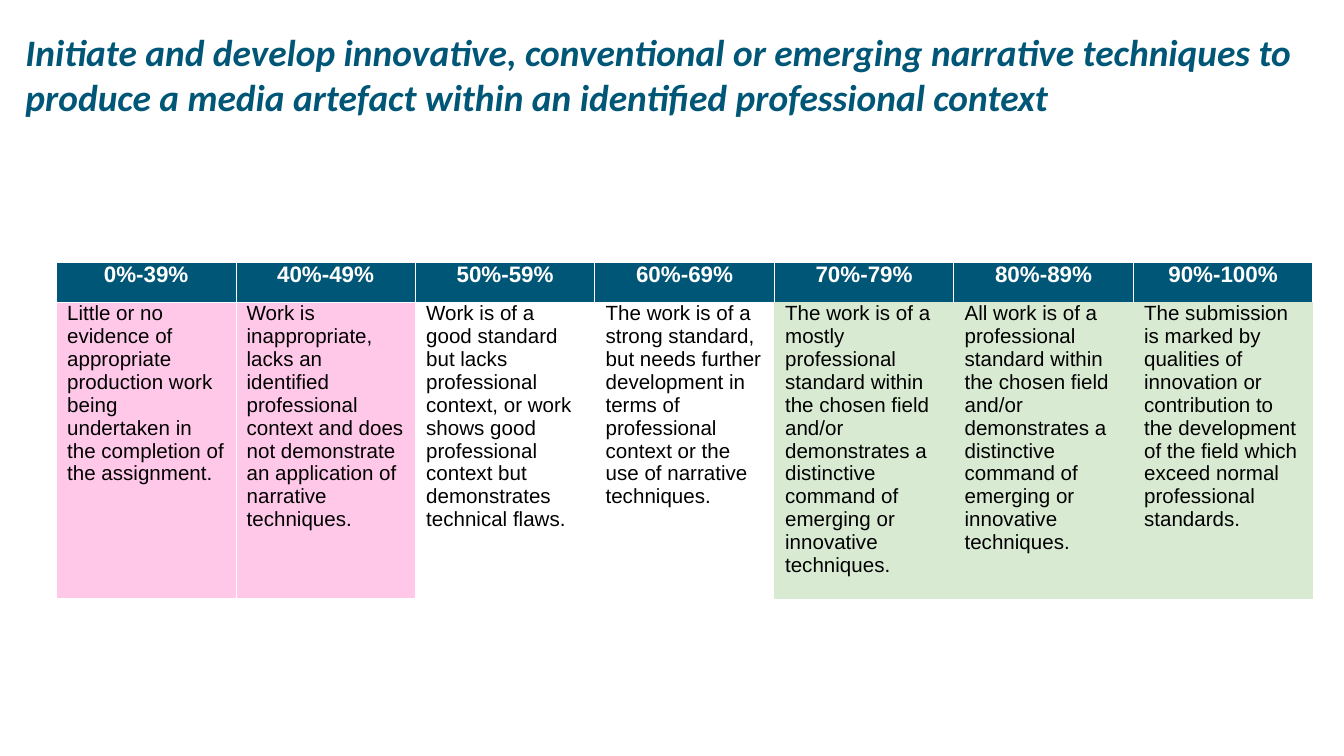
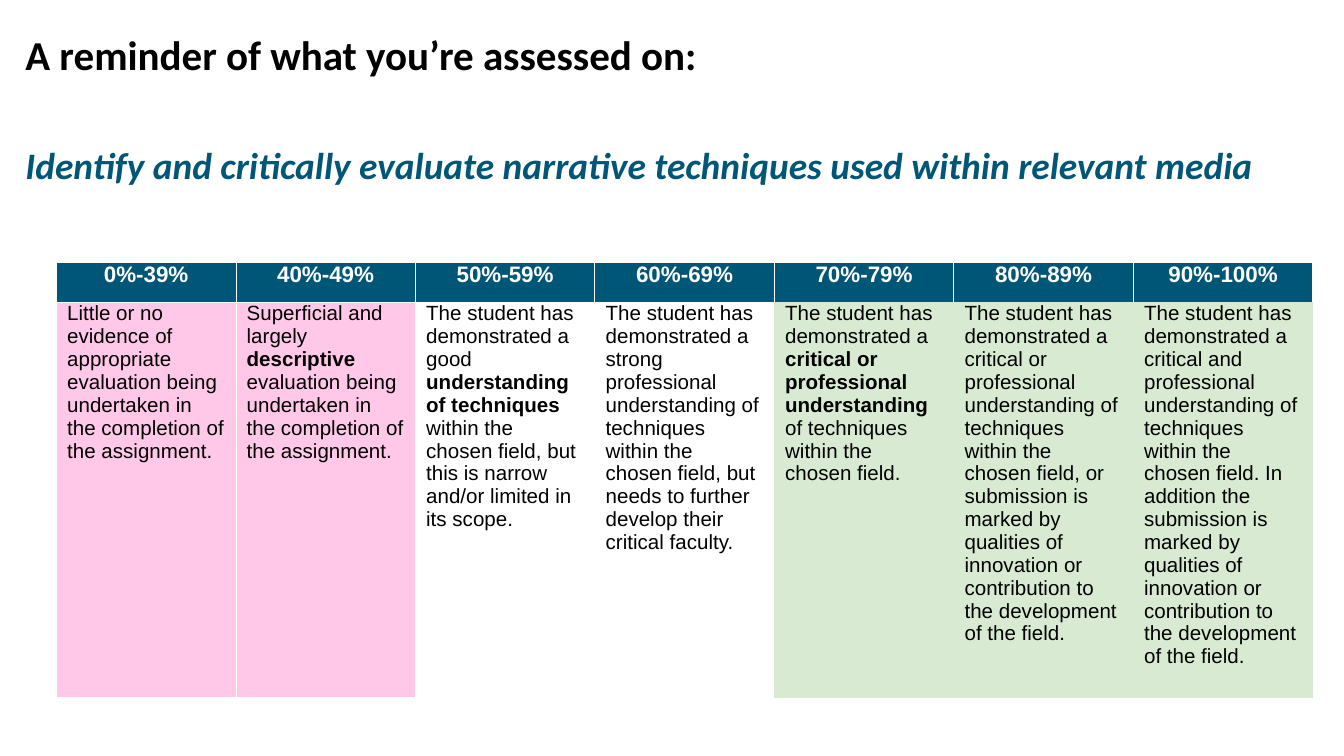
import lxml.etree
import pptx
import pptx.dml.color
import pptx.enum.text
import pptx.oxml.ns
import pptx.util

Inches = pptx.util.Inches
Pt = pptx.util.Pt
RGBColor = pptx.dml.color.RGBColor

HEADER_BLUE = RGBColor(0x00, 0x56, 0x76)
TITLE_BLUE = RGBColor(0x00, 0x56, 0x77)
PINK = RGBColor(0xFF, 0xC8, 0xE8)
GREEN = RGBColor(0xD9, 0xEA, 0xD3)
WHITE = RGBColor(0xFF, 0xFF, 0xFF)
BLACK = RGBColor(0x00, 0x00, 0x00)

PAGE_WIDTH = 10
PAGE_HEIGHT = PAGE_WIDTH * 9 / 16

BANDS = ["0%-39%", "40%-49%", "50%-59%", "60%-69%", "70%-79%", "80%-89%", "90%-100%"]
BAND_FILLS = [PINK] * 2 + [WHITE] * 2 + [GREEN] * 3
TABLE_WIDTH = 9.35
ROW_HEIGHT = 0.3

PRODUCTION_CRITERIA = [
    "Little or no evidence of appropriate production work being undertaken in the "
    "completion of the assignment.",
    "Work is inappropriate, lacks an identified professional context and does not "
    "demonstrate an application of narrative techniques.",
    "Work is of a good standard but lacks professional context, or work shows good "
    "professional context but demonstrates technical flaws.",
    "The work is of a strong standard, but needs further development in terms of "
    "professional context or the use of narrative techniques.",
    "The work is of a mostly professional standard within the chosen field and/or "
    "demonstrates a distinctive command of emerging or innovative techniques.",
    "All work is of a professional standard within the chosen field and/or "
    "demonstrates a distinctive command of emerging or innovative techniques.",
    "The submission is marked by qualities of innovation or contribution to the "
    "development of the field which exceed normal professional standards.",
]
EVALUATION_CRITERIA = [
    "Little or no evidence of appropriate evaluation being undertaken in the "
    "completion of the assignment.",
    "Superficial and largely **descriptive** evaluation being undertaken in the "
    "completion of the assignment.",
    "The student has demonstrated a good **understanding of techniques** within the "
    "chosen field, but this is narrow and/or limited in its scope.",
    "The student has demonstrated a strong professional understanding of techniques "
    "within the chosen field, but needs to further develop their critical faculty.",
    "The student has demonstrated a **critical or professional understanding** of "
    "techniques within the chosen field.",
    "The student has demonstrated a critical or professional understanding of "
    "techniques within the chosen field, or submission is marked by qualities of "
    "innovation or contribution to the development of the field.",
    "The student has demonstrated a critical and professional understanding of "
    "techniques within the chosen field. In addition the submission is marked by "
    "qualities of innovation or contribution to the development of the field.",
]


def write(para, text, font="Arial", size=11, color=BLACK, bold=False, italic=False,
          align=None, before=6, after=6):
    """Fill a paragraph with text, where **marked** parts are bold."""
    para.alignment = align
    para.space_before = Pt(before)
    para.space_after = Pt(after)
    for index, part in enumerate(text.split("**")):
        span = para.add_run()
        span.text = part
        span.font.name = font
        span.font.size = Pt(size)
        span.font.color.rgb = color
        span.font.bold = bold or index % 2 == 1
        span.font.italic = italic


class RubricDeck:
    """Holds the deck style and the current page."""

    def __init__(self):
        self.deck = pptx.Presentation()
        self.deck.slide_width = Inches(PAGE_WIDTH)
        self.deck.slide_height = Inches(PAGE_HEIGHT)
        self.page = None

    def add_page(self):
        self.page = self.deck.slides.add_slide(self.deck.slide_layouts[6])
        self.page.background.fill.solid()
        self.page.background.fill.fore_color.rgb = WHITE

    def add_title(self, outcome, height, heading=None):
        box = self.page.shapes.add_textbox(
            Inches(0.11), Inches(0.14), Inches(9.66), Inches(height))
        frame = box.text_frame
        frame.word_wrap = True
        frame.auto_size = pptx.enum.text.MSO_AUTO_SIZE.SHAPE_TO_FIT_TEXT
        frame.margin_left = frame.margin_right = Inches(0.08)
        frame.margin_top = frame.margin_bottom = Inches(0.08)
        para = frame.paragraphs[0]
        before = 2
        if heading:
            write(para, heading, font="Calibri", size=22, bold=True, before=2, after=0)
            para = frame.add_paragraph()
            before = 34
        write(para, outcome, font="Calibri", size=20, color=TITLE_BLUE, bold=True,
              italic=True, before=before, after=5)

    def add_rubric(self, criteria):
        table = self.page.shapes.add_table(
            2, len(BANDS), Inches(0.42), Inches(1.95),
            Inches(TABLE_WIDTH), Inches(2 * ROW_HEIGHT)).table
        table.horz_banding = False
        for index, (band, fill) in enumerate(zip(BANDS, BAND_FILLS)):
            edge = GREEN if fill == GREEN else WHITE
            next_fill = BAND_FILLS[min(index + 1, len(BANDS) - 1)]
            right = GREEN if next_fill == GREEN else WHITE

            header = table.cell(0, index)
            self.style_cell(header, HEADER_BLUE, bottom=edge)
            write(header.text_frame.paragraphs[0], band, size=12, color=WHITE,
                  bold=True, align=pptx.enum.text.PP_ALIGN.CENTER)

            body = table.cell(1, index)
            self.style_cell(body, fill, left=edge, right=right, top=edge, bottom=edge)
            write(body.text_frame.paragraphs[0], criteria[index])

    def style_cell(self, cell, fill, left=WHITE, right=WHITE, top=WHITE, bottom=WHITE):
        cell.margin_left = cell.margin_right = Inches(0.08)
        cell.margin_top = cell.margin_bottom = 0
        cell.fill.solid()
        cell.fill.fore_color.rgb = fill
        properties = cell._tc.get_or_add_tcPr()
        qn = pptx.oxml.ns.qn
        for position, (side, color) in enumerate(zip("LRTB", (left, right, top, bottom))):
            line = lxml.etree.Element(qn(f"a:ln{side}"), w=str(Pt(0.5)))
            solid = lxml.etree.SubElement(line, qn("a:solidFill"))
            lxml.etree.SubElement(solid, qn("a:srgbClr"), val=str(color))
            properties.insert(position, line)


def main():
    """Build both rubric pages and save the deck."""
    rubric = RubricDeck()

    rubric.add_page()
    rubric.add_title(
        "Initiate and develop innovative, conventional or emerging narrative techniques "
        "to produce a media artefact within an identified professional context",
        height=1.18)
    rubric.add_rubric(PRODUCTION_CRITERIA)

    rubric.add_page()
    rubric.add_title(
        "Identify and critically evaluate narrative techniques used within relevant media",
        height=1.69, heading="A reminder of what you’re assessed on:")
    rubric.add_rubric(EVALUATION_CRITERIA)

    rubric.deck.save("out.pptx")


if __name__ == "__main__":
    main()
